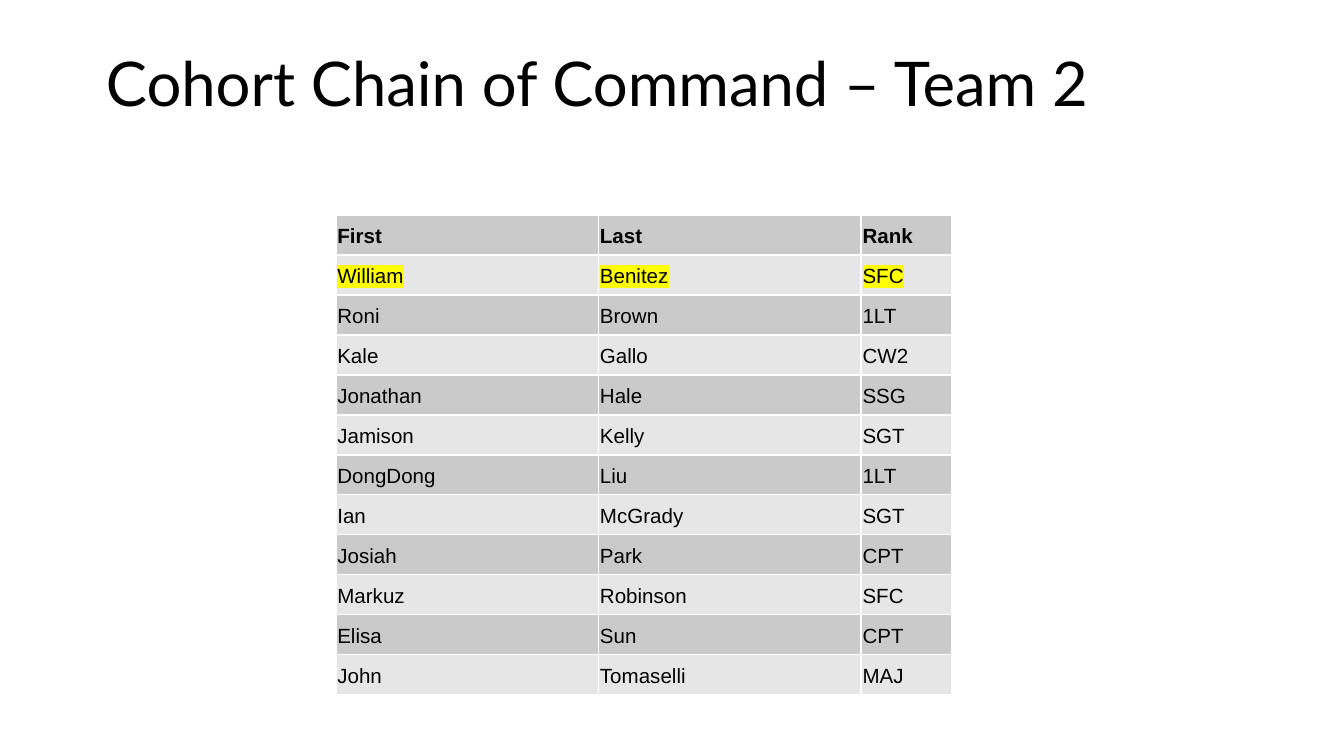
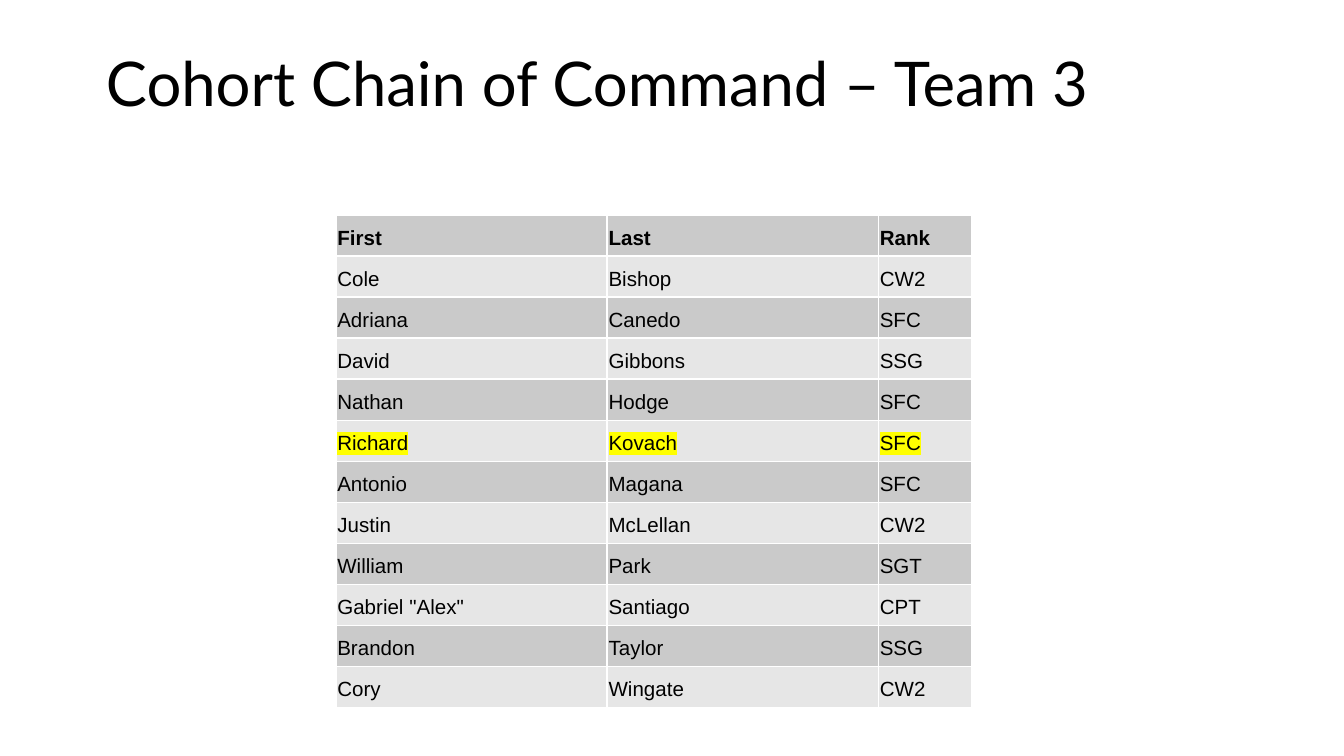
from dataclasses import dataclass

from lxml import etree
from pptx import Presentation
from pptx import util as u
from pptx.dml.color import RGBColor
from pptx.enum import text
from pptx.oxml import ns


@dataclass(frozen=True)
class Theme:
    ink: str = "000000"
    paper: str = "FFFFFF"
    bands: tuple = ("CACACA", "E6E6E6")
    marker: str = "FFFF00"
    title_font: str = "Lato"
    title_size: int = 33
    table_font: str = "Arial"
    table_size: int = 11
    border: int = 1


THEME = Theme()
PAGE_WIDTH = 10
PAGE_HEIGHT = PAGE_WIDTH * 9 / 16
TITLE_AREA = (0.69, 0.3, 8.62, 1.09)
TABLE_LEFT, TABLE_TOP = 2.5, 1.6
COLUMN_WEIGHTS = (1.95, 1.95, 0.67)

HEADER = ("First", "Last", "Rank")
TEAMS = [
    {
        "title": "Cohort Chain of Command – Team 2",
        "size": (4.58, 3.57),
        "marked": "Benitez",
        "members": [
            ("William", "Benitez", "SFC"),
            ("Roni", "Brown", "1LT"),
            ("Kale", "Gallo", "CW2"),
            ("Jonathan", "Hale", "SSG"),
            ("Jamison", "Kelly", "SGT"),
            ("DongDong", "Liu", "1LT"),
            ("Ian", "McGrady", "SGT"),
            ("Josiah", "Park", "CPT"),
            ("Markuz", "Robinson", "SFC"),
            ("Elisa", "Sun", "CPT"),
            ("John", "Tomaselli", "MAJ"),
        ],
    },
    {
        "title": "Cohort Chain of Command – Team 3",
        "size": (4.73, 3.67),
        "marked": "Kovach",
        "members": [
            ("Cole", "Bishop", "CW2"),
            ("Adriana", "Canedo", "SFC"),
            ("David", "Gibbons", "SSG"),
            ("Nathan", "Hodge", "SFC"),
            ("Richard", "Kovach", "SFC"),
            ("Antonio", "Magana", "SFC"),
            ("Justin", "McLellan", "CW2"),
            ("William", "Park", "SGT"),
            ("Gabriel \"Alex\"", "Santiago", "CPT"),
            ("Brandon", "Taylor", "SSG"),
            ("Cory", "Wingate", "CW2"),
        ],
    },
]


def add_solid_fill(parent, tag, color):
    """Append a child that holds one RGB colour, and return it."""
    holder = etree.SubElement(parent, ns.qn(tag))
    etree.SubElement(holder, ns.qn("a:srgbClr"), val=color)
    return holder


def write(frame, words, *, font, size, bold=False, highlight=None, line_spacing=None):
    para = frame.paragraphs[0]
    para.alignment = text.PP_ALIGN.LEFT
    if line_spacing:
        para.line_spacing = line_spacing
    span = para.add_run()
    span.text = words
    span.font.size = u.Pt(size)
    span.font.bold = bold
    span.font.color.rgb = RGBColor.from_string(THEME.ink)
    if highlight:
        # The schema wants the highlight after the fill and before the typeface.
        add_solid_fill(span.font._element, "a:highlight", highlight)
    span.font.name = font


def set_margins(holder, left, top, right, bottom):
    holder.margin_left, holder.margin_top = u.Inches(left), u.Inches(top)
    holder.margin_right, holder.margin_bottom = u.Inches(right), u.Inches(bottom)


def add_borders(cell):
    properties = cell._tc.get_or_add_tcPr()
    for side in ("a:lnL", "a:lnR", "a:lnT", "a:lnB"):
        line = etree.SubElement(properties, ns.qn(side), w=str(u.Pt(THEME.border)))
        add_solid_fill(line, "a:solidFill", THEME.paper)


def add_title(page, words):
    box = page.shapes.add_textbox(*map(u.Inches, TITLE_AREA))
    frame = box.text_frame
    frame.word_wrap = True
    set_margins(frame, 0.1, 0.1, 0.1, 0.1)
    write(frame, words, font=THEME.title_font, size=THEME.title_size, line_spacing=0.9)


def add_roster(page, members, size, marked):
    rows = [HEADER, *members]
    width, height = size
    table = page.shapes.add_table(
        len(rows), len(HEADER), *map(u.Inches, (TABLE_LEFT, TABLE_TOP, width, height))
    ).table
    for column, weight in zip(table.columns, COLUMN_WEIGHTS):
        column.width = u.Inches(width * weight / sum(COLUMN_WEIGHTS))
    for r, values in enumerate(rows):
        table.rows[r].height = u.Inches(height / len(rows))
        for c, value in enumerate(values):
            cell = table.cell(r, c)
            set_margins(cell, 0.01, 0.01, 0.01, 0.05)
            cell.vertical_anchor = text.MSO_ANCHOR.BOTTOM
            add_borders(cell)
            cell.fill.solid()
            cell.fill.fore_color.rgb = RGBColor.from_string(THEME.bands[r % 2])
            write(
                cell.text_frame, value, font=THEME.table_font, size=THEME.table_size,
                bold=r == 0, highlight=THEME.marker if marked in values else None,
            )


def main():
    deck = Presentation()
    deck.slide_width, deck.slide_height = u.Inches(PAGE_WIDTH), u.Inches(PAGE_HEIGHT)
    for team in TEAMS:
        page = deck.slides.add_slide(deck.slide_layouts[6])
        add_title(page, team["title"])
        add_roster(page, team["members"], team["size"], team["marked"])
    deck.save("out.pptx")


if __name__ == "__main__":
    main()
